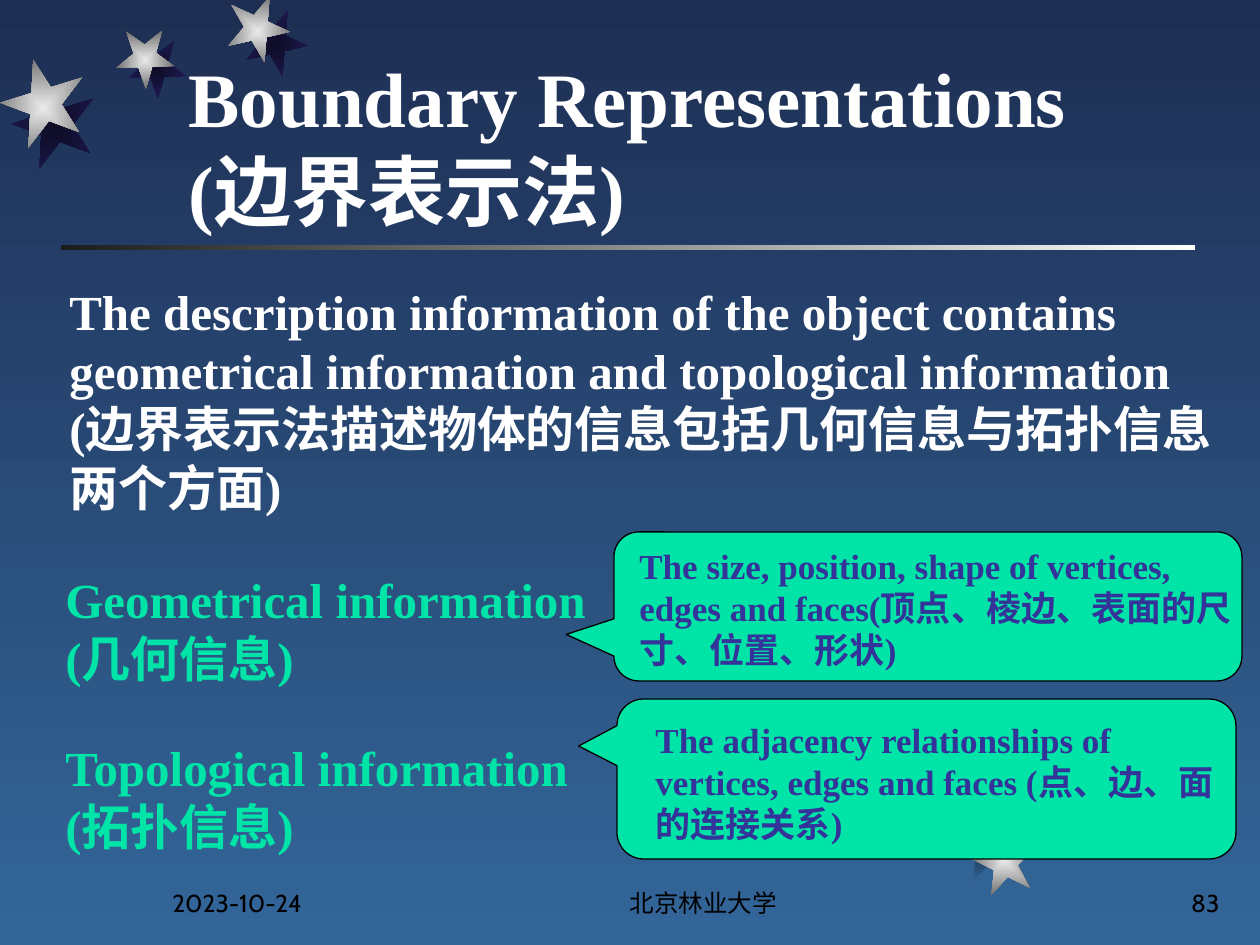
import pptx
import pptx.util
import pptx.dml.color
import pptx.enum.shapes
import pptx.enum.text
import pptx.oxml
import pptx.oxml.ns

RGBColor = pptx.dml.color.RGBColor
Shape = pptx.enum.shapes.MSO_SHAPE
Align = pptx.enum.text.PP_ALIGN
Anchor = pptx.enum.text.MSO_ANCHOR

SCALE = 914400 / 126  # EMU in one px
WHITE = RGBColor(0xFF, 0xFF, 0xFF)
BLACK = RGBColor(0x00, 0x00, 0x00)
CHARCOAL = RGBColor(0x1C, 0x1C, 0x1C)
NIGHT = RGBColor(0x1E, 0x2E, 0x53)
BLUE = RGBColor(0x33, 0x66, 0x99)
MINT = RGBColor(0x00, 0xE4, 0xA8)
INDIGO = RGBColor(0x33, 0x33, 0x99)
SILVER = (RGBColor(0xEA, 0xEA, 0xEA), RGBColor(0x6C, 0x6C, 0x6C))
DARK_SHADE = (RGBColor(0x0E, 0x0C, 0x26), RGBColor(0x1E, 0x1A, 0x53))
BLUE_SHADE = (RGBColor(0x18, 0x2F, 0x47), BLUE)


def paint_gradient(fill, colors, angle):
    fill.gradient()
    fill.gradient_angle = angle
    for stop, color in zip(fill.gradient_stops, colors):
        stop.color.rgb = color


def write_text(box, text, size, color, name="Times New Roman", bold=True,
               align=Align.LEFT, anchor=Anchor.TOP):
    frame = box.text_frame
    frame.text = text
    frame_format = {"word_wrap": True, "vertical_anchor": anchor,
                    "auto_size": pptx.enum.text.MSO_AUTO_SIZE.NONE}
    for key, value in frame_format.items():
        setattr(frame, key, value)
    font_format = {"name": name, "size": pptx.util.Pt(size), "bold": bold}
    for para in frame.paragraphs:
        para.alignment = align
        for span in para.runs:
            for key, value in font_format.items():
                setattr(span.font, key, value)
            span.font.color.rgb = color


deck = pptx.Presentation()
deck.slide_width, deck.slide_height = round(1260 * SCALE), round(945 * SCALE)
page = deck.slides.add_slide(deck.slide_layouts[5])
paint_gradient(page.background.fill, (NIGHT, BLUE), 270)

# Rule under the title
rule = page.shapes.add_shape(
    Shape.RECTANGLE, *[round(v * SCALE) for v in (61, 245, 1134, 5)])
rule.shadow.inherit = False
rule.line.fill.background()
paint_gradient(rule.fill, (CHARCOAL, WHITE), 0)

# Stars, each with an offset shade behind it
stars = [
    # left, top, width, height, rotation, shade offset, shade colours
    (226, 0, 63, 63, 167.3, (18, 14), DARK_SHADE),
    (116, 31, 58, 58, 178.3, (12, 10), DARK_SHADE),
    (1, 66, 84, 84, 200.3, (11, 21), DARK_SHADE),
    (973, 829, 63, 63, 349, (-18, -14), BLUE_SHADE),
]
for left, top, width, height, turn, (dx, dy), shade in stars:
    for x, y, colors in ((left + dx, top + dy, shade), (left, top, SILVER)):
        star = page.shapes.add_shape(
            Shape.STAR_5_POINT, *[round(v * SCALE) for v in (x, y, width, height)])
        star.rotation = turn
        star.shadow.inherit = False
        star.line.fill.background()
        paint_gradient(star.fill, colors, 0)
        # The gradient runs outwards from the centre
        linear = star.fill._xPr.find(".//" + pptx.oxml.ns.qn("a:lin"))
        linear.getparent().replace(linear, pptx.oxml.parse_xml(
            f'<a:path {pptx.oxml.ns.nsdecls("a")} path="rect">'
            '<a:fillToRect l="50000" t="50000" r="50000" b="50000"/></a:path>'))

# Title
title = page.shapes.title
place = dict(zip(("left", "top", "width", "height"), (176, 40, 945, 202)))
for key, value in place.items():
    setattr(title, key, round(value * SCALE))
write_text(title, "Boundary Representations\v(边界表示法)", 44, WHITE,
           anchor=Anchor.BOTTOM)

# Callouts behind their explanations
callouts = [
    ((614, 532, 628, 149), (-0.576, 0.188, 0.167)),
    ((617, 699, 619, 160), (-0.562, -0.206, 0.167)),
]
for place, adjustments in callouts:
    callout = page.shapes.add_shape(
        Shape.ROUNDED_RECTANGULAR_CALLOUT, *[round(v * SCALE) for v in place])
    callout.shadow.inherit = False
    callout.fill.solid()
    callout.fill.fore_color.rgb = MINT
    callout.line.color.rgb = BLACK
    callout.line.width = pptx.util.Pt(0.75)
    for index, value in enumerate(adjustments):
        callout.adjustments[index] = value

# Body, labels, explanations and footer
footer = {"name": "Cabin", "bold": False, "anchor": Anchor.BOTTOM}
texts = [
    ((57, 275, 1169, 248),
     "The description information of the object contains geometrical "
     "information and topological information\n"
     "(边界表示法描述物体的信息包括几何信息与拓扑信息两个方面)", 28, WHITE, {}),
    ((53, 563, 567, 131), "Geometrical information\n(几何信息)", 28, MINT, {}),
    ((53, 731, 677, 131), "Topological information\n(拓扑信息)", 28, MINT, {}),
    ((627, 538, 633, 139),
     "The size, position, shape of vertices, edges and faces"
     "(顶点、棱边、表面的尺寸、位置、形状)", 20, INDIGO, {}),
    ((643, 712, 583, 139),
     "The adjacency relationships of vertices, edges and faces "
     "(点、边、面的连接关系)", 20, INDIGO, {}),
    ((160, 861, 262, 63), "2023-10-24", 14, BLACK, footer),
    ((504, 861, 399, 63), "北京林业大学", 14, BLACK,
     {**footer, "align": Align.CENTER}),
    ((970, 861, 262, 63), "83", 14, BLACK, {**footer, "align": Align.RIGHT}),
]
for place, text, size, color, options in texts:
    box = page.shapes.add_textbox(*[round(v * SCALE) for v in place])
    write_text(box, text, size, color, **options)

deck.save("out.pptx")
